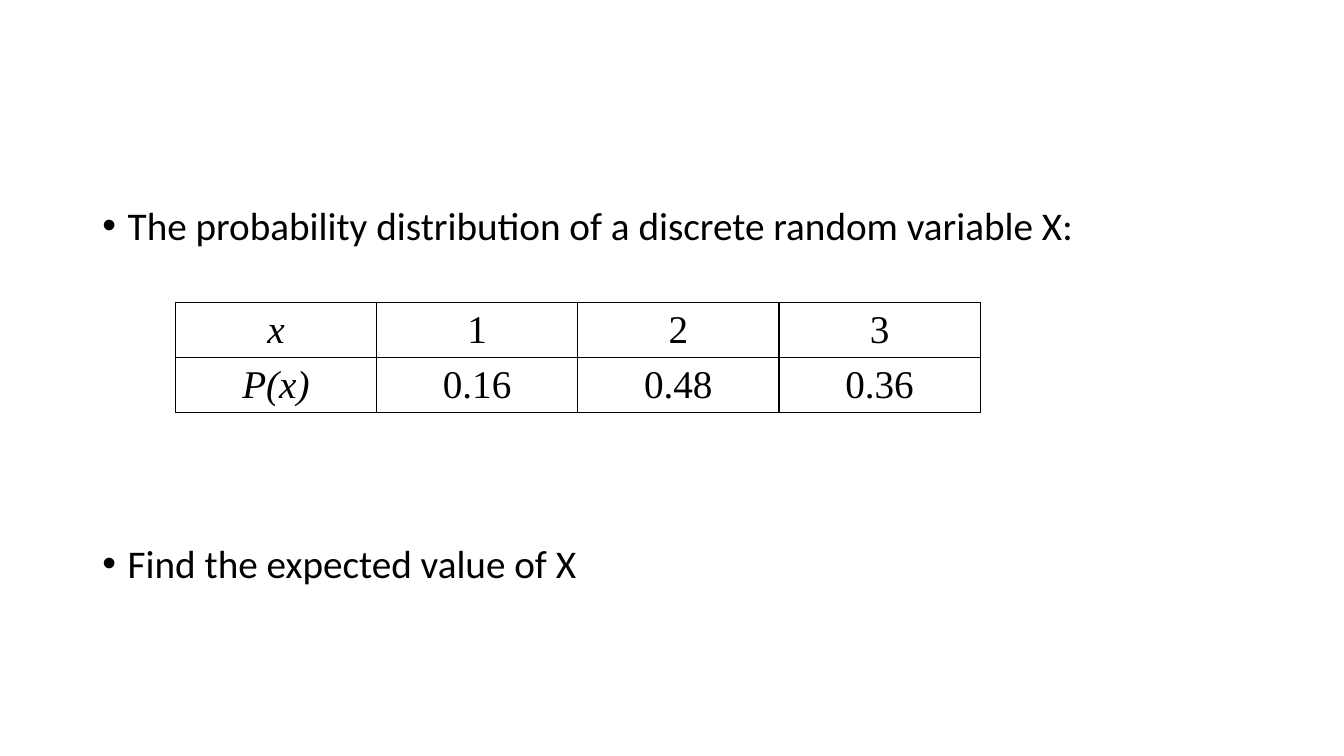
from dataclasses import dataclass

from lxml.etree import SubElement
from pptx import Presentation
from pptx.dml.color import RGBColor
from pptx.enum.text import MSO_ANCHOR as Anchor, PP_ALIGN as Align
from pptx.oxml.ns import qn
from pptx.slide import Slide
from pptx.table import _Cell as Cell
from pptx.util import Cm, Pt

BLACK = RGBColor(0, 0, 0)
BODY_FONT = "Calibri"
TABLE_FONT = "Times New Roman"
TEXT_SIZE = Pt(28)
INDENT = Cm(0.64)
COLUMN_WIDTH = Cm(5.07)
ROW_HEIGHT = Cm(1.35)
BORDER_WIDTH = Pt(1)


@dataclass
class Bullet:
    text: str
    space_before: float


@dataclass
class Row:
    label: str
    values: list[str]


BULLETS = [
    Bullet("The probability distribution of a discrete random variable X:", 10),
    Bullet("Find the expected value of X", 211),
]
DISTRIBUTION = [
    Row("x", ["1", "2", "3"]),
    Row("P(x)", ["0.16", "0.48", "0.36"]),
]


def apply(target: object, formats: dict) -> None:
    for name, value in formats.items():
        setattr(target, name, value)


def add_run(p, text: str, font: str, italic: bool = False) -> None:
    r = p.add_run()
    r.text = text
    apply(r.font, {"name": font, "size": TEXT_SIZE, "italic": italic})
    r.font.color.rgb = BLACK


def add_bullets(s: Slide, bullets: list[Bullet]) -> None:
    sp = s.shapes.add_textbox(Cm(2.33), Cm(5.08), Cm(29.21), Cm(12.09))
    tf = sp.text_frame
    tf.word_wrap = True
    for i, bullet in enumerate(bullets):
        p = tf.add_paragraph() if i else tf.paragraphs[0]
        apply(p, {"line_spacing": 0.9, "space_before": Pt(bullet.space_before)})
        pPr = p._p.get_or_add_pPr()
        pPr.set("marL", str(INDENT))
        pPr.set("indent", str(-INDENT))
        SubElement(pPr, qn("a:buFont"), typeface="Arial")
        SubElement(pPr, qn("a:buChar"), char="•")
        add_run(p, bullet.text, BODY_FONT)


def add_borders(cell: Cell) -> None:
    tcPr = cell._tc.get_or_add_tcPr()
    for side in ("lnL", "lnR", "lnT", "lnB"):
        line = SubElement(tcPr, qn(f"a:{side}"), w=str(BORDER_WIDTH))
        fill = SubElement(line, qn("a:solidFill"))
        SubElement(fill, qn("a:srgbClr"), val=str(BLACK))


def add_distribution(s: Slide, rows: list[Row]) -> None:
    columns = len(rows[0].values) + 1
    frame = s.shapes.add_table(len(rows), columns, Cm(4.42), Cm(7.62),
                               COLUMN_WIDTH * columns, ROW_HEIGHT * len(rows))
    table = frame.table
    apply(table, {"first_row": False, "horz_banding": False})
    for column in table.columns:
        column.width = COLUMN_WIDTH
    for i, row in enumerate(rows):
        table.rows[i].height = ROW_HEIGHT
        for j, text in enumerate([row.label, *row.values]):
            cell = table.cell(i, j)
            apply(cell, {"margin_top": Cm(0.1), "margin_bottom": Cm(0.1),
                         "vertical_anchor": Anchor.MIDDLE})
            add_borders(cell)
            cell.fill.background()
            p = cell.text_frame.paragraphs[0]
            p.alignment = Align.CENTER
            add_run(p, text, TABLE_FONT, italic=j == 0)


def main() -> None:
    prs = Presentation()
    apply(prs, {"slide_width": Cm(33.87), "slide_height": Cm(19.05)})
    s = prs.slides.add_slide(prs.slide_layouts[6])
    add_bullets(s, BULLETS)
    add_distribution(s, DISTRIBUTION)
    prs.save("out.pptx")


if __name__ == "__main__":
    main()
